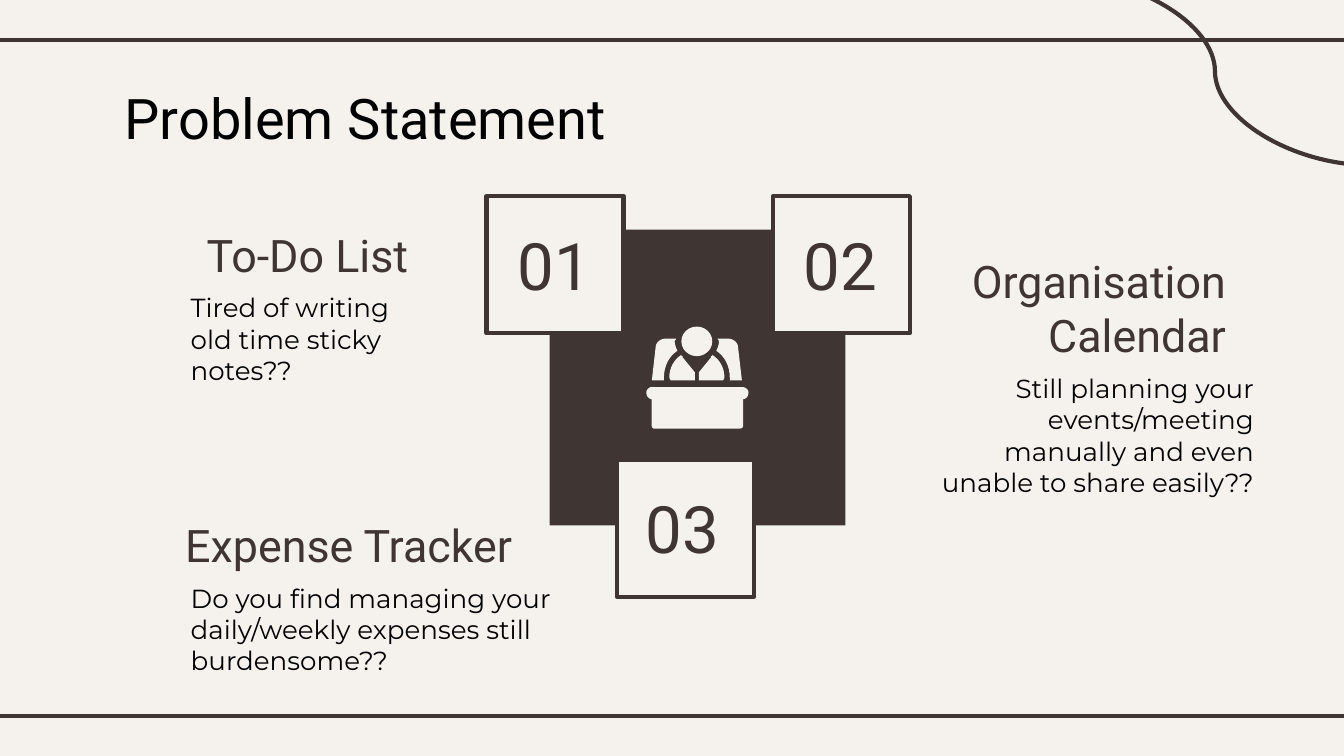
from lxml import etree
from pptx import Presentation
from pptx.dml.color import RGBColor
from pptx.enum import shapes, text
from pptx.oxml.ns import qn
from pptx.util import Inches, Pt

COLORS = {"paper": "F5F2EE", "ink": "3F3533", "black": "000000"}
LEFT, CENTER, RIGHT = text.PP_ALIGN.LEFT, text.PP_ALIGN.CENTER, text.PP_ALIGN.RIGHT
TOP, MIDDLE = text.MSO_ANCHOR.TOP, text.MSO_ANCHOR.MIDDLE

TITLE = ("Problem Statement", (0.83, 0.52, 7.27, 0.69))
PROBLEMS = [
    {"heading": "Expense Tracker", "heading_at": (1.28, 3.86, 2.83, 0.39),
     "detail": "Do you find managing your daily/weekly expenses still burdensome??",
     "detail_at": (1.32, 4.23, 2.92, 0.78), "align": LEFT},
    {"heading": "To-Do List", "heading_at": (1.44, 1.7, 2, 0.39),
     "detail": "Tired of writing old time sticky notes??",
     "detail_at": (1.32, 2.07, 1.82, 0.78), "align": LEFT},
    {"heading": "Organisation Calendar", "heading_at": (6.98, 1.9, 2.24, 0.78),
     "detail": "Still planning your events/meeting manually and even unable to share easily??",
     "detail_at": (6.85, 2.67, 2.58, 1.2), "align": RIGHT},
]
NUMBERS = [("01", 3.62, 1.46, 3.57), ("02", 5.75, 1.46, 5.7), ("03", 4.59, 3.42, 4.52)]
NUMBER_SIDE = 1.02
RULES = [((-0.08, y), (10.08, y)) for y in (0.3, 5.33)]
SWIRL = ((7.88, -0.17), (10.2, 1.23))
CORE = (4.09, 1.71, 2.2, 2.2)
HEAD = (5.07, 2.43, 0.23, 0.22)

DESK = [(4.85, 2.88), (4.83, 2.88, 4.81, 2.9, 4.81, 2.92), (4.81, 2.95, 4.83, 2.97, 4.85, 2.97),
        (4.85, 3.17), (4.85, 3.18, 4.86, 3.19, 4.87, 3.19), (5.5, 3.19),
        (5.52, 3.19, 5.53, 3.18, 5.53, 3.17), (5.53, 2.97),
        (5.55, 2.97, 5.57, 2.95, 5.57, 2.92), (5.57, 2.9, 5.55, 2.88, 5.52, 2.88)]
CHAIR_SIDE = [(5.34, 2.52), (5.34, 2.53, 5.35, 2.53, 5.35, 2.54),
              (5.35, 2.56, 5.34, 2.59, 5.33, 2.61), (5.39, 2.65, 5.43, 2.72, 5.43, 2.81),
              (5.43, 2.83), (5.52, 2.83), (5.49, 2.57), (5.48, 2.54, 5.45, 2.52, 5.42, 2.52)]
TORSO_SIDE = [(5.3, 2.64), (5.3, 2.65, 5.3, 2.65, 5.29, 2.65), (5.29, 2.66), (5.2, 2.77),
              (5.2, 2.83), (5.38, 2.83), (5.39, 2.81), (5.39, 2.74, 5.36, 2.68, 5.3, 2.64)]
ICON_MIRROR = 10.37

deck = Presentation()
deck.slide_width = Inches(10)
deck.slide_height = deck.slide_width * 9 // 16
slide = deck.slides.add_slide(deck.slide_layouts[6])


def color(name):
    return RGBColor.from_string(COLORS[name])


def paint(shape, fill, line=None):
    shape.shadow.inherit = False
    shape.fill.solid()
    shape.fill.fore_color.rgb = color(fill)
    if line:
        shape.line.color.rgb = color(line)
        shape.line.width = Pt(2.25)
    else:
        shape.line.fill.background()


def add_block(kind, at, fill, line=None):
    paint(slide.shapes.add_shape(kind, *map(Inches, at)), fill, line)


def add_stroke(kind, start, end):
    stroke = slide.shapes.add_connector(kind, *map(Inches, start + end))
    stroke.line.color.rgb = color("ink")
    stroke.line.width = Pt(2.25)
    etree.SubElement(stroke._element.spPr, qn("a:effectLst"))


def add_words(words, at, size, font, ink, align=LEFT, anchor=TOP):
    frame = slide.shapes.add_textbox(*map(Inches, at)).text_frame
    frame.word_wrap = True
    frame.vertical_anchor = anchor
    frame.margin_left = frame.margin_right = Inches(0.1)
    frame.margin_top = frame.margin_bottom = Inches(0.1)
    paragraph = frame.paragraphs[0]
    paragraph.alignment = align
    run = paragraph.add_run()
    run.text = words
    run.font.size, run.font.name = Pt(size), font
    run.font.color.rgb = color(ink)


def flatten(outline, steps=8):
    points = [outline[0]]
    for part in outline[1:]:
        if len(part) == 2:
            points.append(part)
            continue
        controls = [points[-1], part[:2], part[2:4], part[4:]]
        for step in range(1, steps + 1):
            t = step / steps
            weights = ((1 - t) ** 3, 3 * t * (1 - t) ** 2, 3 * t * t * (1 - t), t ** 3)
            points.append(tuple(sum(w * c[axis] for w, c in zip(weights, controls))
                                for axis in (0, 1)))
    return points


def add_outline(points):
    corners = [(Inches(x), Inches(y)) for x, y in points]
    builder = slide.shapes.build_freeform(*corners[0])
    builder.add_line_segments(corners[1:], close=True)
    paint(builder.convert_to_shape(), "paper")


slide.background.fill.solid()
slide.background.fill.fore_color.rgb = color("paper")
for start, end in RULES:
    add_stroke(shapes.MSO_CONNECTOR.STRAIGHT, start, end)
add_stroke(shapes.MSO_CONNECTOR.CURVE, *SWIRL)

add_words(*TITLE, 30, "Roboto", "black")
for problem in PROBLEMS:
    add_words(problem["heading"], problem["heading_at"], 24, "Roboto", "ink",
              problem["align"], MIDDLE)
    add_words(problem["detail"], problem["detail_at"], 14, "Montserrat", "black",
              problem["align"])

add_block(shapes.MSO_SHAPE.RECTANGLE, CORE, "ink")
add_block(shapes.MSO_SHAPE.OVAL, HEAD, "paper")
add_outline(flatten(DESK))
for side in (CHAIR_SIDE, TORSO_SIDE):
    half = flatten(side)
    add_outline(half)
    add_outline([(ICON_MIRROR - x, y) for x, y in half])

for number, left, top, number_left in NUMBERS:
    add_block(shapes.MSO_SHAPE.RECTANGLE, (left, top, NUMBER_SIDE, NUMBER_SIDE), "paper", "ink")
    add_words(number, (number_left, top + 0.14, 1.11, 0.73), 35, "Roboto", "ink", CENTER, MIDDLE)

deck.save("out.pptx")
